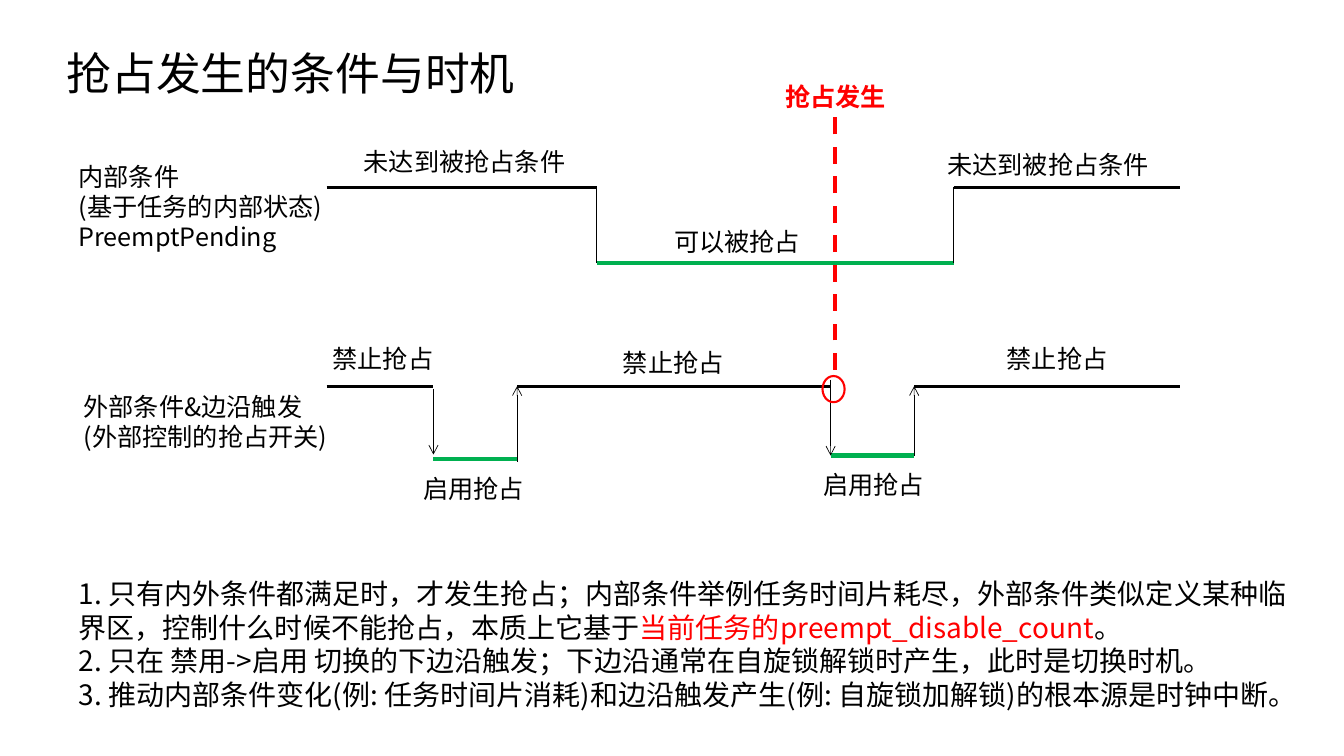
from dataclasses import dataclass

from lxml.etree import SubElement
from pptx import Presentation
from pptx.dml.color import RGBColor
from pptx.enum.dml import MSO_LINE
from pptx.enum.shapes import MSO_CONNECTOR, MSO_SHAPE
from pptx.enum.text import MSO_ANCHOR, MSO_AUTO_SIZE, PP_ALIGN
from pptx.oxml.ns import qn
from pptx.util import Pt

FONT = "Noto Sans CJK SC"
COLORS = {"ink": "000000", "on": "00B050", "alert": "FF0000"}

# Signal levels and edge positions
LEFT, RIGHT = 233.3, 843.1
HIGH, LOW = 133.9, 187.9
FALL, RISE = 426.2, 681.1
BASE = 275.8
OFF1, ON1, OFF2, ON2 = 309.6, 369.4, 593.3, 653
DIP1, DIP2 = 327.6, 325.4


@dataclass
class Label:
    lines: list[str]
    x: float
    y: float
    w: float
    h: float = 28.8
    color: str = "ink"
    bold: bool = False


@dataclass
class Line:
    x1: float
    y1: float
    x2: float
    y2: float
    width: float = 2.25
    color: str = "ink"
    arrow: bool = False
    dash: bool = False


LABELS = [
    Label(["内部条件", "(基于任务的内部状态)", "PreemptPending"], 49, 111.6, 193, 72.7),
    Label(["外部条件&边沿触发", "(外部控制的抢占开关)"], 52.6, 275.8, 189.4, 51.1),
    Label(["未达到被抢占条件"], 252.7, 100.8, 164.2),
    Label(["未达到被抢占条件"], 669.6, 103, 164.2),
    Label(["可以被抢占"], 474.5, 158.4, 110.9),
    Label(["禁止抢占"], 230.4, 241.9, 88.6),
    Label(["禁止抢占"], 437.8, 244.8, 88.6),
    Label(["禁止抢占"], 712.1, 241.9, 88.6),
    Label(["启用抢占"], 295.2, 334.8, 88.6),
    Label(["启用抢占"], 581, 331.9, 88.6),
    Label(["抢占发生"], 553.7, 54.7, 96.5, color="alert", bold=True),
]

LINES = [
    # Inner condition
    Line(LEFT, HIGH, FALL, HIGH),
    Line(RISE, HIGH, RIGHT, HIGH),
    Line(FALL, LOW, RISE, LOW, 3, "on"),
    Line(FALL, HIGH, FALL, LOW, 0.5),
    Line(RISE, HIGH, RISE, LOW, 0.5),
    # Outer condition
    Line(LEFT, BASE, OFF1, BASE),
    Line(ON1, BASE, OFF2, BASE),
    Line(ON2, BASE, RIGHT, BASE),
    Line(OFF1, DIP1, ON1, DIP1, 3, "on"),
    Line(OFF2, DIP2, ON2, DIP2, 3, "on"),
    Line(OFF1, 277.9, OFF1, 324.7, 0.5, arrow=True),
    Line(ON1, 329.8, ON1, BASE, 0.5, arrow=True),
    Line(OFF2, 271.4, OFF2, DIP2, 0.5, arrow=True),
    Line(ON2, DIP2, ON2, BASE, 0.5, arrow=True),
    # Moment of preemption
    Line(596.2, 264.2, 596.2, 82.8, 3, "alert", dash=True),
]

# Each note is a list of (text, colour) parts
NOTES = [
    [("1. 只有内外条件都满足时，才发生抢占；内部条件举例任务时间片耗尽，外部条件类似定义某种临界区，控制什么时候不能抢占，本质上它基于", "ink"),
     ("当前任务的preempt_disable_count", "alert"),
     ("。", "ink")],
    [("2. 只在 禁用->启用 切换的下边沿触发；下边沿通常在自旋锁解锁时产生，此时是切换时机。", "ink")],
    [("3. 推动内部条件变化(例: 任务时间片消耗)和边沿触发产生(例: 自旋锁加解锁)的根本源是时钟中断。", "ink")],
]


def tint(name: str) -> RGBColor:
    return RGBColor.from_string(COLORS[name])


def style(para, size: float, color: str = "ink", bold: bool = False) -> None:
    para.alignment = PP_ALIGN.LEFT
    para.line_spacing = Pt(size * 1.2)
    para.space_before = Pt(0)
    font = para.font
    font.size, font.name, font.bold = Pt(size), FONT, bold
    font.color.rgb = tint(color)
    # East Asian typeface
    base = para._p.pPr.find(qn("a:defRPr"))
    SubElement(base, qn("a:ea")).set("typeface", FONT)


def place(shape, x: float, y: float, w: float, h: float) -> None:
    shape.left, shape.top, shape.width, shape.height = Pt(x), Pt(y), Pt(w), Pt(h)


def setup(frame, anchor: MSO_ANCHOR = MSO_ANCHOR.TOP) -> None:
    frame.word_wrap = True
    frame.auto_size = MSO_AUTO_SIZE.NONE
    frame.vertical_anchor = anchor


def write(slide, label: Label) -> None:
    box = slide.shapes.add_textbox(Pt(label.x), Pt(label.y), Pt(label.w), Pt(label.h))
    frame = box.text_frame
    setup(frame)
    frame.text = "\n".join(label.lines)
    for para in frame.paragraphs:
        style(para, 18, label.color, label.bold)


def draw(slide, line: Line) -> None:
    link = slide.shapes.add_connector(
        MSO_CONNECTOR.STRAIGHT, Pt(line.x1), Pt(line.y1), Pt(line.x2), Pt(line.y2))
    link.line.width = Pt(line.width)
    link.line.color.rgb = tint(line.color)
    if line.dash:
        link.line.dash_style = MSO_LINE.DASH
    props = link._element.spPr
    if line.arrow:
        SubElement(props.find(qn("a:ln")), qn("a:tailEnd")).set("type", "arrow")
    SubElement(props, qn("a:effectLst"))


def fill(body) -> None:
    place(body, 49, 408.2, 884.2, 104.4)
    frame = body.text_frame
    setup(frame)
    for i, parts in enumerate(NOTES):
        para = frame.add_paragraph() if i else frame.paragraphs[0]
        style(para, 20)
        for text, color in parts:
            run = para.add_run()
            run.text = text
            if len(parts) > 1:
                run.font.color.rgb = tint(color)
        # Flush left, no bullet
        props = para._p.pPr
        props.set("marL", "0")
        props.set("indent", "0")
        none = SubElement(props, qn("a:buNone"))
        props.find(qn("a:defRPr")).addprevious(none)


def main() -> None:
    deck = Presentation()
    deck.slide_width, deck.slide_height = Pt(960), Pt(540)
    slide = deck.slides.add_slide(deck.slide_layouts[1])

    # Title and notes
    title = slide.shapes.title
    place(title, 40.3, 28.8, 544.3, 46.1)
    setup(title.text_frame, MSO_ANCHOR.MIDDLE)
    title.text_frame.text = "抢占发生的条件与时机"
    style(title.text_frame.paragraphs[0], 32)
    fill(slide.placeholders[1])

    # Timing diagram
    for line in LINES:
        draw(slide, line)
    for label in LABELS:
        write(slide, label)

    # Ring around the triggering edge
    ring = slide.shapes.add_shape(MSO_SHAPE.OVAL, Pt(587.5), Pt(268.6), Pt(15.8), Pt(18.7))
    ring.shadow.inherit = False
    ring.fill.background()
    ring.line.color.rgb = tint("alert")
    ring.line.width = Pt(1.5)

    deck.save("out.pptx")


if __name__ == "__main__":
    main()
